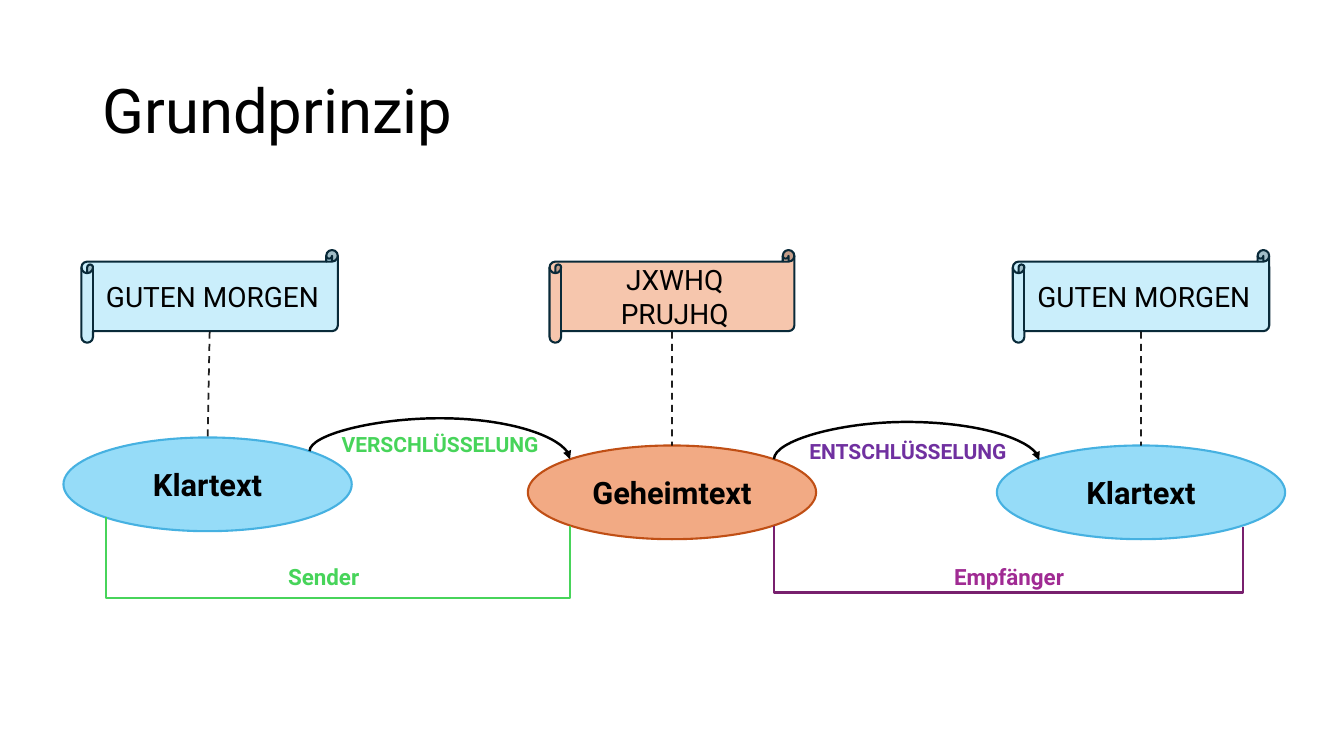
from lxml import etree
from pptx import Presentation
from pptx import util as u
from pptx.dml.color import RGBColor
from pptx.enum import dml, shapes, text
from pptx.oxml import ns

DIAGONAL = 0.5 ** 0.5
OVAL_W, OVAL_H = 21.45, 12.4
SCROLL_TOP, SCROLL_H, SCROLL_EDGE = 33.07, 12.27, 43.87


def rgb(value):
    return RGBColor.from_string(value)


def add_node(parent, tag, **attrs):
    return etree.SubElement(parent, ns.qn(tag), attrs)


def write(shape, words, size, color="000000", bold=False, align="LEFT", anchor="MIDDLE"):
    tf = shape.text_frame
    tf.word_wrap = True
    tf.vertical_anchor = getattr(text.MSO_ANCHOR, anchor)
    p = tf.paragraphs[0]
    p.alignment = getattr(text.PP_ALIGN, align)
    r = p.add_run()
    r.text = words
    r.font.name = "Roboto"
    r.font.size = u.Pt(size)
    r.font.bold = bold
    r.font.color.rgb = rgb(color)
    return p


class Deck:
    def __init__(self):
        self.prs = Presentation()
        self.prs.slide_width = u.Inches(13.333)
        self.prs.slide_height = u.Inches(7.5)
        self.s = self.prs.slides.add_slide(self.prs.slide_layouts[5])

    def x(self, share):
        return round(self.prs.slide_width * share / 100)

    def y(self, share):
        return round(self.prs.slide_height * share / 100)

    def box(self, left, top, width, height):
        return self.x(left), self.y(top), self.x(width), self.y(height)

    def title(self, words, *at):
        sp = self.s.shapes.title
        sp.left, sp.top, sp.width, sp.height = self.box(*at)
        write(sp, words, 44).line_spacing = 0.9

    def figure(self, kind, words, at, fill, line, size, bold=False):
        sp = self.s.shapes.add_shape(kind, *self.box(*at))
        sp.shadow.inherit = False
        sp.fill.solid()
        sp.fill.fore_color.rgb = rgb(fill)
        sp.line.color.rgb = rgb(line)
        sp.line.width = u.Pt(1.5)
        write(sp, words, size, bold=bold, align="CENTER")

    def oval(self, words, cx, cy, fill, line):
        at = cx - OVAL_W / 2, cy - OVAL_H / 2, OVAL_W, OVAL_H
        self.figure(shapes.MSO_SHAPE.OVAL, words, at, fill, line, 22, True)

    def scroll(self, words, cx, width, fill):
        at = cx - width / 2, SCROLL_TOP, width, SCROLL_H
        self.figure(shapes.MSO_SHAPE.HORIZONTAL_SCROLL, words, at, fill, "092A39", 20)

    def label(self, words, at, size, color, align="LEFT"):
        sp = self.s.shapes.add_textbox(*self.box(*at))
        write(sp, words, size, color, True, align, "TOP")
        sp.text_frame.auto_size = text.MSO_AUTO_SIZE.SHAPE_TO_FIT_TEXT

    def connector(self, kind, ends, color, width):
        c = self.s.shapes.add_connector(kind, *ends)
        c.line.color.rgb = rgb(color)
        c.line.width = u.Pt(width)
        add_node(c._element.spPr, "a:effectLst")
        return c

    def dashed(self, x1, y1, x2, y2):
        ends = self.x(x1), self.y(y1), self.x(x2), self.y(y2)
        c = self.connector(shapes.MSO_CONNECTOR.STRAIGHT, ends, "000000", 1.25)
        c.line.dash_style = dml.MSO_LINE.DASH
        ink = c._element.spPr.find(".//" + ns.qn("a:srgbClr"))
        add_node(ink, "a:alpha", val="87000")

    def detour(self, kind, start, end, level, color):
        x1, x2 = self.x(start[0]), self.x(end[0])
        y1, y2 = self.y(start[1]), self.y(end[1])
        y2 = max(y2, y1 + u.Inches(0.01))
        cx, cy, run, drop = (x1 + x2) // 2, (y1 + y2) // 2, x2 - x1, y2 - y1
        ends = cx - drop // 2, cy - run // 2, cx + drop // 2, cy + run // 2
        c = self.connector(kind, ends, color, 1.75)
        pr = c._element.spPr
        xfrm = pr.find(ns.qn("a:xfrm"))
        xfrm.set("rot", "16200000")
        xfrm.set("flipH", "1")
        bend = round((self.y(level) - y1) / drop * 100000)
        guides = pr.find(".//" + ns.qn("a:avLst"))
        add_node(guides, "a:gd", name="adj1", fmla=f"val {bend}")
        return c

    def arc(self, start, end, level):
        c = self.detour(shapes.MSO_CONNECTOR.CURVE, start, end, level, "000000")
        add_node(c._element.spPr.find(ns.qn("a:ln")), "a:tailEnd", type="triangle")

    def bracket(self, start, end, level, color):
        self.detour(shapes.MSO_CONNECTOR.ELBOW, start, end, level, color)


def corner(center, side, level):
    cx, cy = center
    return cx + side * OVAL_W / 2 * DIAGONAL, cy + level * OVAL_H / 2 * DIAGONAL


def main():
    deck = Deck()
    deck.title("Grundprinzip", 6.88, 5.33, 86.25, 19.33)

    plain, cipher, decoded = (15.45, 64.07), (50, 65.13), (84.9, 65.13)
    deck.oval("Klartext", *plain, "96DCF8", "46B1E1")
    deck.oval("Geheimtext", *cipher, "F2AA84", "C04F15")
    deck.oval("Klartext", *decoded, "96DCF8", "46B1E1")

    steps = [(plain, cipher, 55.33, 79.07, "47D45A"),
             (cipher, decoded, 55.73, 78.53, "78206E")]
    for source, target, peak, base, color in steps:
        deck.arc(corner(source, 1, -1), corner(target, -1, -1), peak)
        far = 1 if target == decoded else -1
        near = 1 if source == cipher else -1
        deck.bracket(corner(source, near, 1), corner(target, far, 1), base, color)

    deck.label("VERSCHLÜSSELUNG", (24.68, 56.4, 16.5, 4.67), 15, "47D45A")
    deck.label("ENTSCHLÜSSELUNG", (59.48, 57.33, 16.5, 4.67), 15, "7030A0")
    deck.label("Sender", (20.7, 73.87, 8.93, 4.93), 16, "47D45A")
    deck.label("Empfänger", (68.48, 73.87, 13.2, 4.93), 16, "A02B93", "CENTER")

    scrolls = [("GUTEN MORGEN", 15.6, 19.08, "CAEEFB", plain),
               ("JXWHQ PRUJHQ", 50, 18.22, "F6C6AD", cipher),
               ("GUTEN MORGEN", 84.9, 19.08, "CAEEFB", decoded)]
    for words, cx, width, fill, (oval_x, oval_y) in scrolls:
        deck.scroll(words, cx, width, fill)
        deck.dashed(cx, SCROLL_EDGE, oval_x, oval_y - OVAL_H / 2)

    deck.prs.save("out.pptx")


if __name__ == "__main__":
    main()
